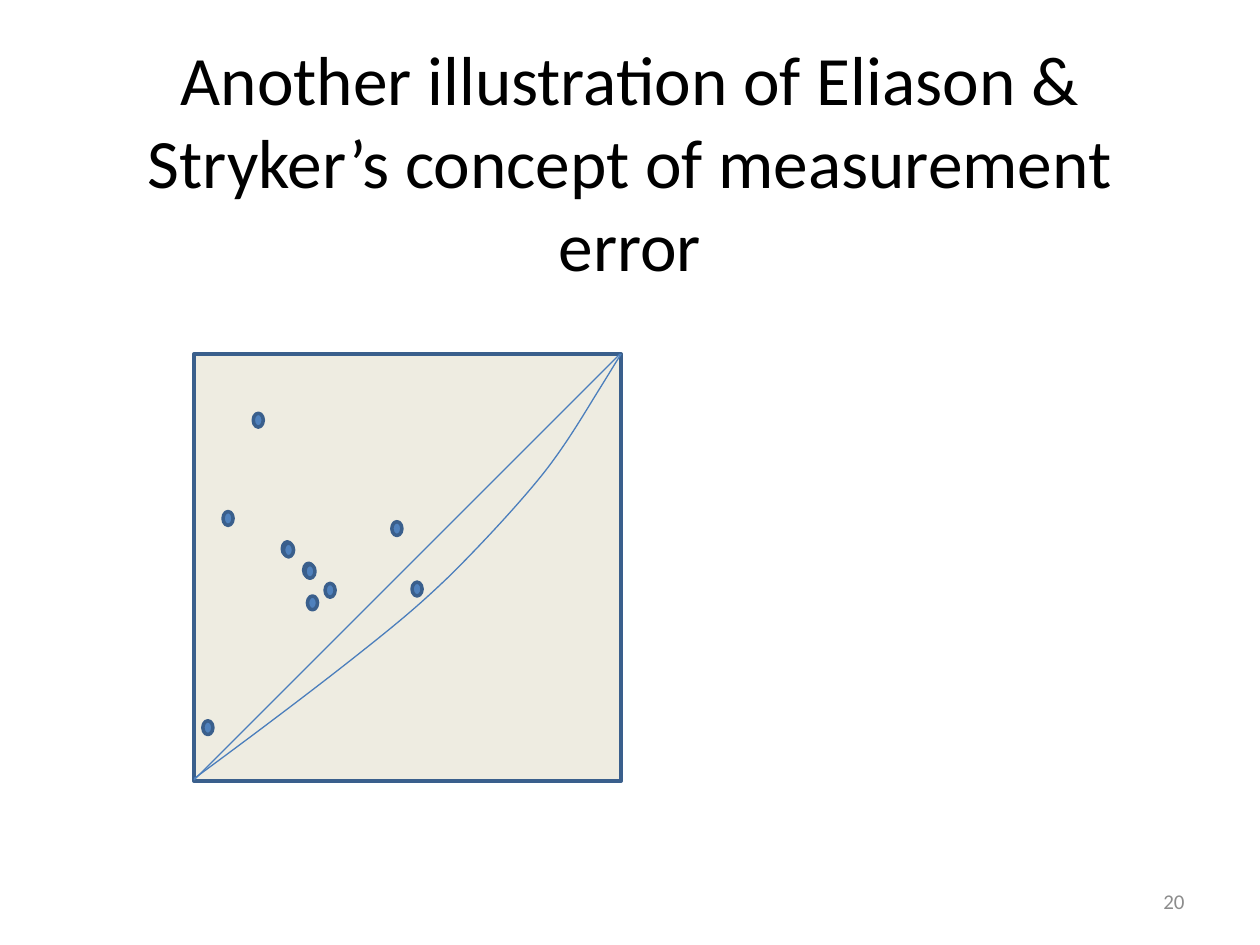
from dataclasses import dataclass

from lxml import etree
from pptx import Presentation
from pptx import util as u
from pptx.dml.color import RGBColor
from pptx.enum import shapes, text
from pptx.oxml.ns import qn


@dataclass(frozen=True)
class Theme:
    font: str = "Calibri"
    ink: str = "000000"
    muted: str = "8C8C8C"
    panel: str = "EEECE1"
    dot: str = "4F81BD"
    outline: str = "3A5F8C"
    curve: str = "4B7EBC"
    title_size: float = 39.6
    number_size: float = 12
    outline_width: float = 2
    curve_width: float = 0.75


class SlideBuilder:
    def __init__(self, page, theme):
        self.page = page
        self.theme = theme

    def stroke(self, line, color, width):
        line.color.rgb = RGBColor.from_string(color)
        line.width = u.Pt(width)

    def label(self, words, area, size, color, align):
        box = self.page.shapes.add_textbox(*map(u.Inches, area))
        frame = box.text_frame
        frame.word_wrap = True
        frame.vertical_anchor = text.MSO_ANCHOR.MIDDLE
        frame.text = words
        para = frame.paragraphs[0]
        para.alignment = align
        span = para.runs[0]
        span.font.name = self.theme.font
        span.font.size = u.Pt(size)
        span.font.color.rgb = RGBColor.from_string(color)

    def shape(self, kind, area, fill):
        shape = self.page.shapes.add_shape(kind, *map(u.Inches, area))
        shape.shadow.inherit = False
        shape.fill.solid()
        shape.fill.fore_color.rgb = RGBColor.from_string(fill)
        self.stroke(shape.line, self.theme.outline, self.theme.outline_width)

    def straight(self, start, end):
        line = self.page.shapes.add_connector(
            shapes.MSO_CONNECTOR.STRAIGHT, *map(u.Inches, start + end))
        etree.SubElement(line._element.spPr, qn("a:effectLst"))
        self.stroke(line.line, self.theme.curve, self.theme.curve_width)

    def bezier(self, points):
        start, *rest = [(u.Inches(x), u.Inches(y)) for x, y in points]
        builder = self.page.shapes.build_freeform(*start)
        builder.add_line_segments(rest, close=False)
        curve = builder.convert_to_shape()
        curve.shadow.inherit = False
        curve.fill.background()
        self.stroke(curve.line, self.theme.curve, self.theme.curve_width)
        outline = next(curve._element.iter(qn("a:path")))
        steps = outline.findall(qn("a:lnTo"))
        for first in range(0, len(steps), 3):
            bend = etree.SubElement(outline, qn("a:cubicBezTo"))
            for step in steps[first:first + 3]:
                bend.append(step[0])
                outline.remove(step)


PANEL = (1.54, 2.81, 3.39, 3.39)
DOT_SIZE = (0.08, 0.11)
DOTS = [
    (1.77, 4.06), (2.01, 3.28), (2.24, 4.3), (1.61, 5.72),
    (2.44, 4.73), (2.25, 4.31), (2.41, 4.47), (2.42, 4.48),
    (2.58, 4.63), (3.11, 4.14), (3.27, 4.62),
]
CURVE = [
    (1.54, 6.18),
    (2.03, 5.82), (2.52, 5.45), (2.86, 5.18),
    (3.2, 4.91), (3.34, 4.79), (3.58, 4.56),
    (3.82, 4.32), (4.11, 4.01), (4.31, 3.76),
    (4.5, 3.52), (4.65, 3.26), (4.75, 3.1),
    (4.85, 2.94), (4.89, 2.87), (4.93, 2.81),
]


def main():
    deck = Presentation()
    deck.slide_width, deck.slide_height = u.Inches(10), u.Inches(7.5)
    theme = Theme()
    slide = SlideBuilder(deck.slides.add_slide(deck.slide_layouts[6]), theme)

    slide.label("Another illustration of Eliason & Stryker’s concept of measurement error",
                (0.5, 0.3, 9, 1.95), theme.title_size, theme.ink, text.PP_ALIGN.CENTER)
    slide.shape(shapes.MSO_SHAPE.RECTANGLE, PANEL, theme.panel)
    slide.straight((1.54, 6.19), (4.92, 2.81))
    slide.bezier(CURVE)
    for dot in DOTS:
        slide.shape(shapes.MSO_SHAPE.FLOWCHART_CONNECTOR, dot + DOT_SIZE, theme.dot)
    slide.label("20", (7.17, 6.95, 2.33, 0.4),
                theme.number_size, theme.muted, text.PP_ALIGN.RIGHT)
    deck.save("out.pptx")


if __name__ == "__main__":
    main()
